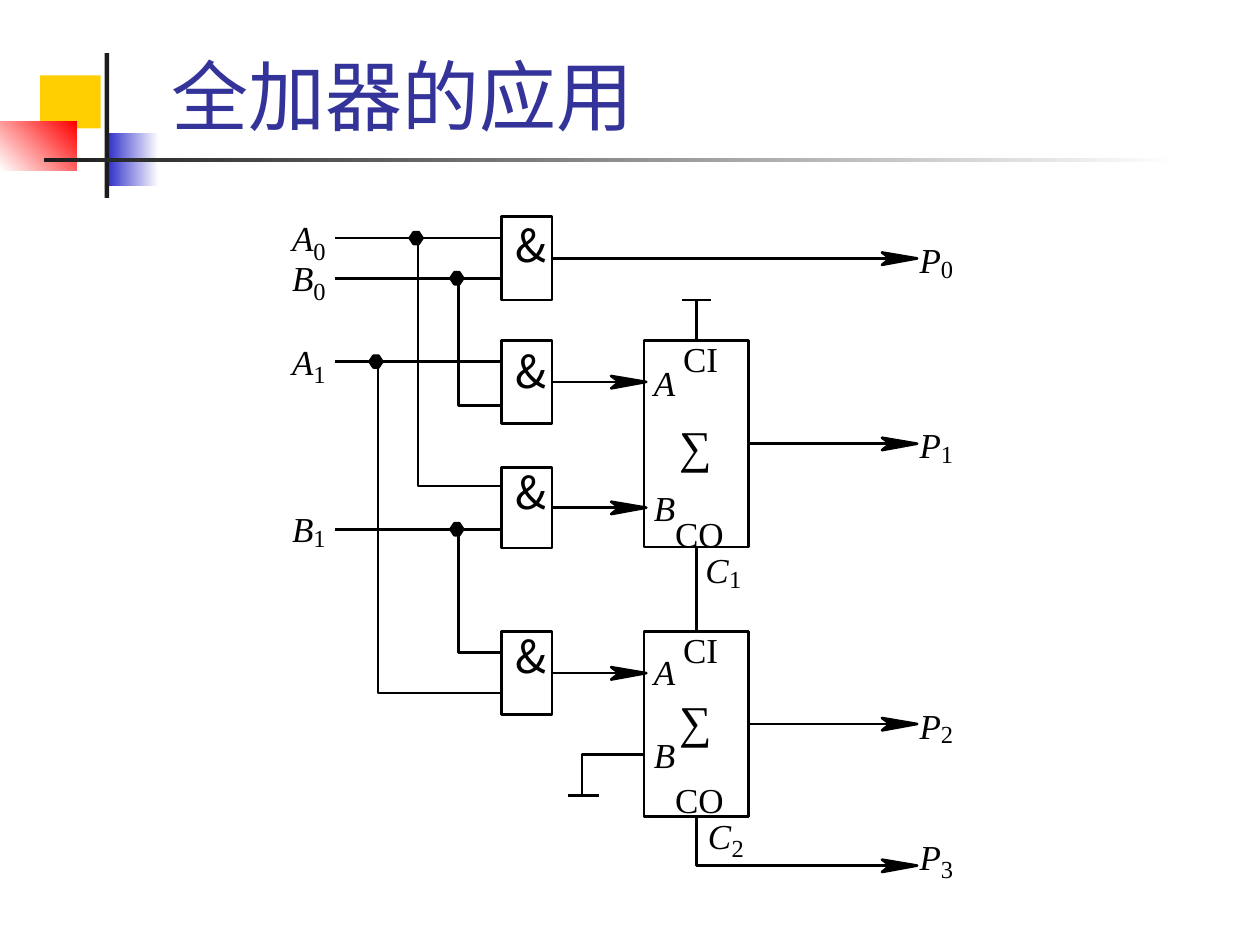
from lxml.etree import SubElement
from pptx import Presentation
from pptx.dml.color import RGBColor
from pptx.enum.shapes import MSO_CONNECTOR, MSO_SHAPE
from pptx.enum.text import MSO_ANCHOR, MSO_AUTO_SIZE as AUTO, PP_ALIGN
from pptx.oxml.ns import qn
from pptx.util import Cm, Pt

BLACK = "000000"
SERIF, SANS = "Times New Roman", "Noto Sans CJK SC"


def rgb(value):
    return RGBColor.from_string(value)


class Diagram:
    """Draws logic-circuit elements on one slide in a shared style."""

    def __init__(self, slide, color=BLACK, width=1.5):
        self.s, self.color, self.width = slide, color, width

    def outline(self, line):
        line.color.rgb = rgb(self.color)
        line.width = Pt(self.width)

    def title(self, text, x, y, w, h):
        sp = self.s.shapes.title
        sp.left, sp.top, sp.width, sp.height = Cm(x), Cm(y), Cm(w), Cm(h)
        tf = sp.text_frame
        tf.text = text
        tf.auto_size = AUTO.NONE
        tf.vertical_anchor = MSO_ANCHOR.BOTTOM
        p = tf.paragraphs[0]
        p.alignment = PP_ALIGN.LEFT
        self.style(p.runs[0], 44, "Lato", "333399")

    def style(self, r, size, font, color, italic=False):
        r.font.size, r.font.name = Pt(size), font
        r.font.color.rgb = rgb(color)
        r.font.italic = italic

    def rect(self, x, y, w, h):
        sp = self.s.shapes.add_shape(MSO_SHAPE.RECTANGLE, Cm(x), Cm(y), Cm(w), Cm(h))
        sp.shadow.inherit = False
        return sp

    def ornament(self, x, y, w, h, colors, angle=0):
        sp = self.rect(x, y, w, h)
        sp.line.fill.background()
        if len(colors) == 1:
            sp.fill.solid()
            sp.fill.fore_color.rgb = rgb(colors[0])
            return
        sp.fill.gradient()
        sp.fill.gradient_angle = angle
        for stop, color, pos in zip(sp.fill.gradient_stops, colors, (0, 1)):
            stop.color.rgb = rgb(color)
            stop.position = pos

    def block(self, x, y, w, h, fill=None):
        sp = self.rect(x, y, w, h)
        self.outline(sp.line)
        if fill:
            sp.fill.solid()
            sp.fill.fore_color.rgb = rgb(fill)
        else:
            sp.fill.background()
        return sp

    def wire(self, x1, y1, x2, y2, begin=None, end=None):
        c = self.s.shapes.add_connector(
            MSO_CONNECTOR.STRAIGHT, Cm(x1), Cm(y1), Cm(x2), Cm(y2))
        if begin:
            c.begin_connect(*begin)
        if end:
            c.end_connect(*end)
        self.outline(c.line)
        SubElement(c.element.spPr, qn("a:effectLst"))

    def outline_shape(self, points, closed=False):
        pts = [(Cm(x), Cm(y)) for x, y in points]
        fb = self.s.shapes.build_freeform(*pts[0])
        fb.add_line_segments(pts[1:], close=closed)
        sp = fb.convert_to_shape()
        sp.shadow.inherit = False
        self.outline(sp.line)
        if closed:
            sp.fill.solid()
            sp.fill.fore_color.rgb = rgb(self.color)
        else:
            sp.fill.background()

    def dot(self, x, y):
        offsets = [(-.13, 0), (-.05, -.12), (.05, -.12), (.13, 0), (.05, .12), (-.05, .12)]
        self.outline_shape([(x + dx, y + dy) for dx, dy in offsets], closed=True)

    def arrowhead(self, x, y):
        offsets = [(-.71, -.12), (-.55, 0), (-.71, .13), (0, 0)]
        self.outline_shape([(x + dx, y + dy) for dx, dy in offsets], closed=True)

    def text(self, text, x, y, w=.71, h=.97, size=20, font=SERIF, italic=False):
        tf = self.s.shapes.add_textbox(Cm(x), Cm(y), Cm(w), Cm(h)).text_frame
        tf.margin_left = tf.margin_right = tf.margin_top = tf.margin_bottom = 0
        tf.word_wrap = False
        tf.auto_size = AUTO.SHAPE_TO_FIT_TEXT
        tf.text = text
        self.style(tf.paragraphs[0].runs[0], size, font, self.color, italic)

    def label(self, name, x, y, drop):
        letter, index = name
        self.text(letter, x, y, italic=True)
        self.text(index, x + (.48 if letter == "C" else .43), y + drop, .48, .76, 14)


def main():
    prs = Presentation()
    prs.slide_width, prs.slide_height = Cm(25.4), Cm(19.05)
    d = Diagram(prs.slides.add_slide(prs.slide_layouts[5]))

    d.ornament(.81, 1.52, 1.22, 1.07, ["FFCF01"])
    d.ornament(2.18, 2.69, 1.02, 1.07, ["3333CC", "FFFFFF"])
    d.ornament(0, 2.46, 1.55, .97, ["FFFFFF", "FF0000"], 45)
    d.ornament(2.11, 1.07, .09, 2.92, ["1C1C1C"])
    d.ornament(.89, 3.18, 22.86, .09, ["1C1C1C", "FFFFFF"])
    d.title("全加器的应用", 3.2, 1.27, 21.64, 1.7)

    gate_x, gate_w, adder_x, adder_w = 10.11, 1.02, 12.98, 2.11
    gate_right, adder_right = gate_x + gate_w, adder_x + adder_w
    adder_mid, out_x, tip_x = adder_x + adder_w / 2, 18.39, 18.49

    adders = []
    for y, h, a_y, sum_y, b_y, co_y in [(6.86, 4.17, 7.29, 8.43, 9.8, 10.34),
                                        (12.73, 3.73, 13.11, 13.97, 14.78, 15.7)]:
        adder, mid = d.block(adder_x, y, adder_w, h), y + h / 2
        adders.append(adder)
        d.wire(adder_right, mid, out_x, mid, begin=(adder, 3))
        d.arrowhead(tip_x, mid)
        d.text("CI", 13.77, y - .06, .71, .84)
        d.text("A", 13.18, a_y, italic=True)
        d.text("∑", 13.69, sum_y, .91, 1.09, 26)
        d.text("B", 13.18, b_y, italic=True)
        d.text("CO", 13.61, co_y, .99, .84)

    for y, h, sign_y, end_x in [(4.37, 1.68, 4.37, out_x), (6.86, 1.68, 6.91, adder_x),
                                (9.42, 1.63, 9.35, adder_x), (12.73, 1.68, 12.67, adder_x)]:
        gate, mid = d.block(gate_x, y, gate_w, h, "FFFFFF"), y + h / 2
        d.wire(gate_right, mid, end_x, mid, begin=(gate, 3))
        d.arrowhead(tip_x if end_x == out_x else 13.03, mid)
        d.text("&", 10.39, sign_y, .97, 1.14, 26, SANS)

    for name, y, branch_x, branch_y, label_y, drop in [
            ("A0", 4.8, 8.43, 9.8, 4.37, .38), ("B0", 5.61, 9.25, 8.18, 5.18, .38),
            ("A1", 7.29, 7.62, 13.97, 6.86, .38), ("B1", 10.67, 9.25, 13.16, 10.24, .3)]:
        d.wire(6.76, y, gate_x, y)
        d.outline_shape([(branch_x, y), (branch_x, branch_y), (gate_x, branch_y)])
        d.dot(branch_x - .04, y)
        d.label(name, 5.89, label_y, drop)

    upper, lower = adders
    d.wire(adder_mid, 6.86, adder_mid, 6.05, begin=(upper, 0))
    d.wire(13.74, 6.05, 14.33, 6.05)
    d.wire(adder_mid, 11.03, adder_mid, 12.73, begin=(upper, 2), end=(lower, 0))
    d.outline_shape([(adder_x, 15.21), (11.73, 15.21), (11.73, 16.03)])
    d.wire(11.46, 16.03, 12.07, 16.03)
    d.outline_shape([(adder_mid, 16.46), (adder_mid, 17.45), (out_x, 17.45)])
    d.arrowhead(tip_x, 17.45)

    for name, x, y, drop in [("P0", 18.54, 4.8, .33), ("P1", 18.54, 8.53, .33),
                             ("P2", 18.54, 14.2, .3), ("P3", 18.54, 16.84, .38),
                             ("C1", 14.22, 11.05, .33), ("C2", 14.27, 16.41, .38)]:
        d.label(name, x, y, drop)

    prs.save("out.pptx")


if __name__ == "__main__":
    main()
